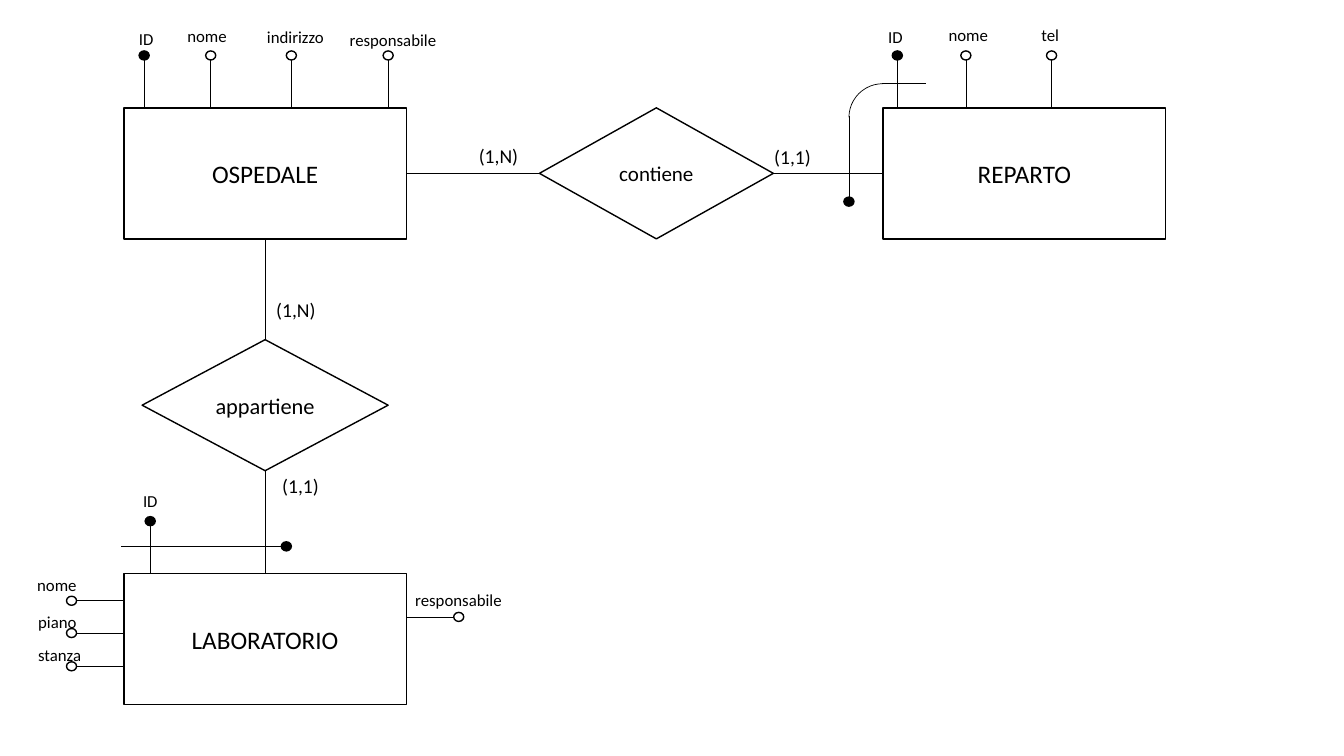
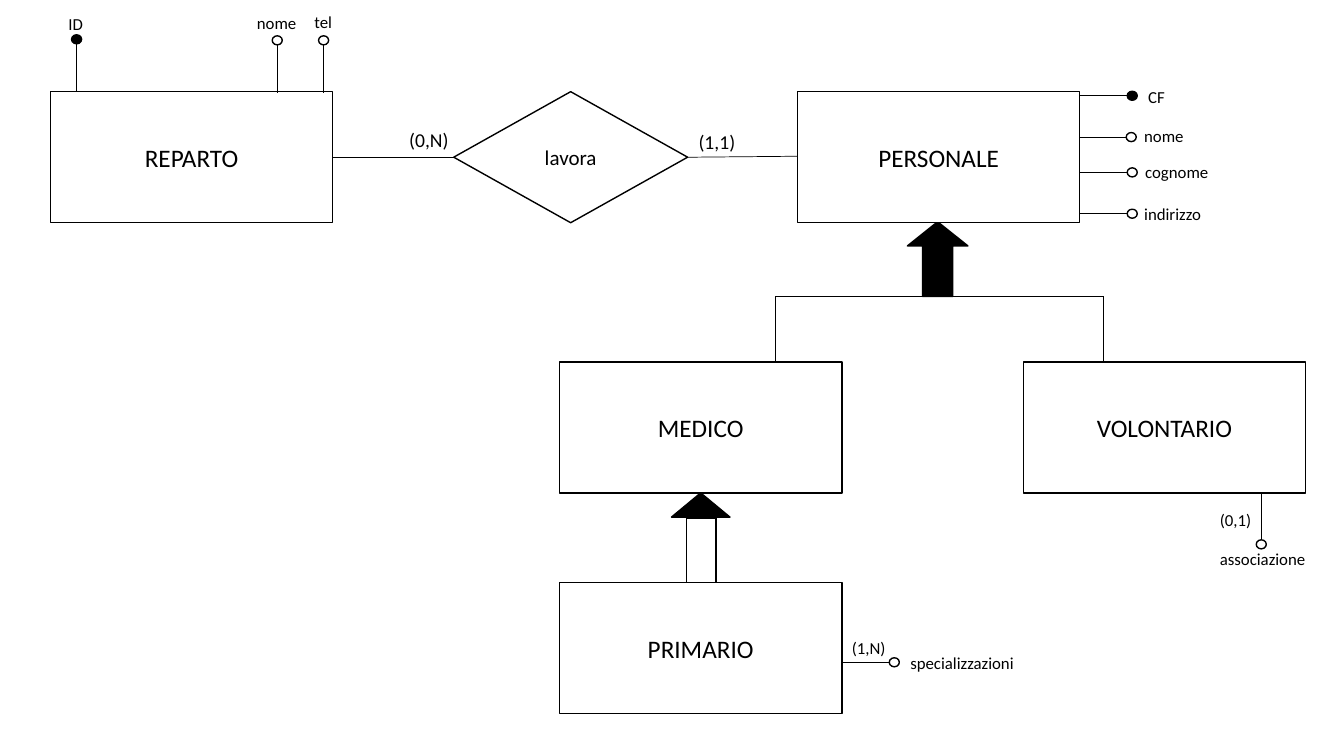
from lxml import etree
from pptx import Presentation
from pptx.dml.color import RGBColor
from pptx.enum.shapes import MSO_CONNECTOR, MSO_SHAPE
from pptx.enum.text import MSO_ANCHOR, MSO_AUTO_SIZE, PP_ALIGN
from pptx.oxml.ns import qn
from pptx.util import Inches, Pt

COLORS = {"ink": "000000", "paper": "FFFFFF"}
INK = RGBColor.from_string(COLORS["ink"])
FONT = "Calibri"
ENTITY_W, ENTITY_H = 2.8, 1.3
DOT_W, DOT_H = 0.1, 0.09
DOT_RADIUS, STEM_END = 0.05, 0.52
LABEL_WIDTHS = {
    "ID": 0.35, "CF": 0.37, "tel": 0.38, "nome": 0.6, "piano": 0.59,
    "stanza": 0.63, "indirizzo": 0.77, "cognome": 0.84, "responsabile": 1.07,
    "associazione": 1.06, "specializzazioni": 1.24, "(0,1)": 0.52, "(1,N)": 0.54,
}
KEYS = ("ID", "CF")
DOWN, UP, LEFT, RIGHT = (0, 1), (0, -1), (-1, 0), (1, 0)

DIAGRAMS = [
    {
        "entities": [("OSPEDALE", 1.23, 1.07), ("REPARTO", 8.76, 1.07), ("LABORATORIO", 1.23, 5.69)],
        "relations": [("appartiene", 1.41, 3.37, 2.44, 16), ("contiene", 5.35, 1.07, 2.32, 15)],
        "links": [
            (2.63, 2.37, 2.63, 3.37), (2.63, 4.67, 2.63, 5.69),
            (4.03, 1.72, 5.35, 1.72), (7.66, 1.72, 8.76, 1.72),
            (8.42, 1.96, 8.42, 1.15), (8.75, 0.83, 9.18, 0.83),
            (2.79, 5.42, 1.2, 5.42),
        ],
        "arcs": [(8.42, 0.83, 0.67, 0.67)],
        "key_dots": [(8.42, 2), (2.84, 5.42)],
        "arrows": [],
        "attributes": [
            ("ID", 1.28, 0.24, 1.43, 0.55, DOWN),
            ("nome", 1.76, 0.21, 2.09, 0.55, DOWN),
            ("indirizzo", 2.55, 0.22, 2.89, 0.55, DOWN),
            ("responsabile", 3.37, 0.25, 3.85, 0.55, DOWN),
            ("ID", 8.71, 0.22, 8.9, 0.55, DOWN),
            ("nome", 9.31, 0.2, 9.58, 0.55, DOWN),
            ("tel", 10.23, 0.2, 10.43, 0.55, DOWN),
            ("ID", 1.32, 4.82, 1.49, 5.17, DOWN),
            ("nome", 0.27, 5.65, 0.71, 5.96, RIGHT),
            ("piano", 0.28, 6.02, 0.71, 6.28, RIGHT),
            ("stanza", 0.28, 6.35, 0.71, 6.61, RIGHT),
            ("responsabile", 4.02, 5.8, 4.55, 6.12, LEFT),
        ],
        "attribute_ranges": [],
        "cardinalities": [
            ("(1,N)", 2.64, 2.91), ("(1,N)", 4.65, 1.38),
            ("(1,1)", 2.7, 4.65), ("(1,1)", 7.58, 1.39),
        ],
    },
    {
        "entities": [
            ("REPARTO", 0.5, 0.91), ("PERSONALE", 7.91, 0.91), ("MEDICO", 5.55, 3.59),
            ("VOLONTARIO", 10.15, 3.59), ("PRIMARIO", 5.55, 5.78),
        ],
        "relations": [("lavora", 4.5, 0.91, 2.32, 15)],
        "links": [
            (3.3, 1.56, 4.5, 1.56), (6.82, 1.56, 7.91, 1.55),
            (7.69, 2.94, 10.94, 2.94), (7.69, 2.94, 7.69, 3.59), (10.94, 2.94, 10.94, 3.59),
        ],
        "arcs": [],
        "key_dots": [],
        "arrows": [
            (MSO_SHAPE.UP_ARROW, (9, 2.2, 0.6, 0.74), "ink", (0.5, 0.4)),
            (MSO_SHAPE.RECTANGLE, (6.81, 5.14, 0.29, 0.64), "paper", ()),
            (MSO_SHAPE.ISOSCELES_TRIANGLE, (6.66, 4.89, 0.58, 0.24), "ink", (0.5,)),
        ],
        "attributes": [
            ("ID", 0.58, 0.09, 0.76, 0.39, DOWN),
            ("nome", 2.45, 0.08, 2.75, 0.4, DOWN),
            ("tel", 3.02, 0.07, 3.21, 0.4, DOWN),
            ("CF", 11.29, 0.81, 11.23, 0.95, LEFT),
            ("nome", 11.25, 1.2, 11.22, 1.36, LEFT),
            ("cognome", 11.26, 1.56, 11.23, 1.71, LEFT),
            ("indirizzo", 11.25, 1.97, 11.23, 2.12, LEFT),
            ("associazione", 12, 5.39, 12.51, 5.4, UP),
            ("specializzazioni", 8.93, 6.43, 8.87, 6.57, LEFT),
        ],
        "attribute_ranges": [("(0,1)", 12, 5.01), ("(1,N)", 8.35, 6.28)],
        "cardinalities": [("(0,N)", 3.96, 1.22), ("(1,1)", 6.83, 1.24)],
    },
]


def draw_shape(slide, kind, box, fill="paper", text="", size=18):
    shape = slide.shapes.add_shape(kind, *map(Inches, box))
    shape.shadow.inherit = False
    if fill:
        shape.fill.solid()
        shape.fill.fore_color.rgb = RGBColor.from_string(COLORS[fill])
    else:
        shape.fill.background()
    shape.line.color.rgb = INK
    shape.line.width = Pt(1)
    if text:
        frame = shape.text_frame
        frame.text = text
        frame.vertical_anchor = MSO_ANCHOR.MIDDLE
        frame.paragraphs[0].alignment = PP_ALIGN.CENTER
        font = frame.paragraphs[0].runs[0].font
        font.name, font.size, font.color.rgb = FONT, Pt(size), INK
    return shape


def draw_line(slide, ends):
    line = slide.shapes.add_connector(MSO_CONNECTOR.STRAIGHT, *map(Inches, ends))
    line.line.color.rgb = INK
    line.line.width = Pt(0.5)
    etree.SubElement(line._element.spPr, qn("a:effectLst"))


prs = Presentation()
prs.slide_width, prs.slide_height = Inches(13.33), Inches(7.5)

for diagram in DIAGRAMS:
    slide = prs.slides.add_slide(prs.slide_layouts[6])

    for kind, box, fill, adjustments in diagram["arrows"]:
        arrow = draw_shape(slide, kind, box, fill)
        for index, value in enumerate(adjustments):
            arrow.adjustments[index] = value

    for name, x, y in diagram["entities"]:
        draw_shape(slide, MSO_SHAPE.RECTANGLE, (x, y, ENTITY_W, ENTITY_H), text=name)

    for name, x, y, width, size in diagram["relations"]:
        draw_shape(slide, MSO_SHAPE.DIAMOND, (x, y, width, ENTITY_H), text=name, size=size)

    for ends in diagram["links"]:
        draw_line(slide, ends)

    for box in diagram["arcs"]:
        arc = draw_shape(slide, MSO_SHAPE.ARC, box, fill=None)
        arc.rotation = 270
        arc.line.width = Pt(0.5)

    dots = [(x, y, "ink") for x, y in diagram["key_dots"]]
    labels = [(text, x, y, LABEL_WIDTHS[text], 0.3, 12, False) for text, x, y in diagram["attribute_ranges"]]
    labels += [(text, x, y, 0.59, 0.34, 14, True) for text, x, y in diagram["cardinalities"]]
    for name, label_x, label_y, x, y, (dx, dy) in diagram["attributes"]:
        draw_line(slide, (x + DOT_RADIUS * dx, y + DOT_RADIUS * dy, x + STEM_END * dx, y + STEM_END * dy))
        dots.append((x, y, "ink" if name in KEYS else "paper"))
        labels.append((name, label_x, label_y, LABEL_WIDTHS[name], 0.3, 12, False))

    for x, y, fill in dots:
        draw_shape(slide, MSO_SHAPE.OVAL, (x - DOT_W / 2, y - DOT_H / 2, DOT_W, DOT_H), fill)

    for text, x, y, width, height, size, wrap in labels:
        frame = slide.shapes.add_textbox(*map(Inches, (x, y, width, height))).text_frame
        frame.text = text
        frame.word_wrap = wrap
        frame.auto_size = MSO_AUTO_SIZE.SHAPE_TO_FIT_TEXT
        font = frame.paragraphs[0].runs[0].font
        font.name, font.size, font.color.rgb = FONT, Pt(size), INK

prs.save("out.pptx")
